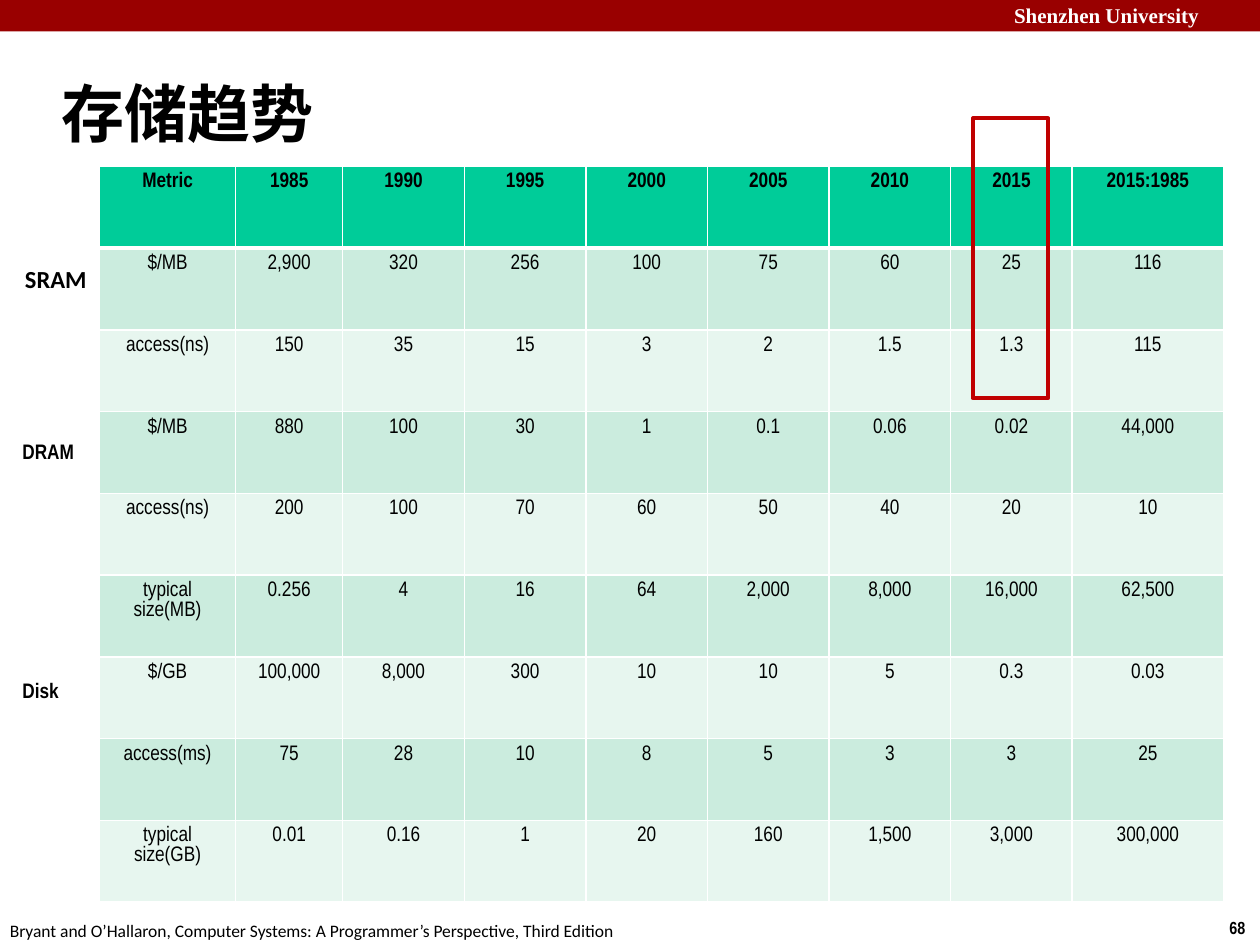
import pptx
import pptx.dml.color
import pptx.enum.shapes
import pptx.enum.text
import pptx.oxml
import pptx.oxml.ns
import pptx.util
from pptx.util import Inches

ANCHOR = pptx.enum.text.MSO_ANCHOR
NARROW = "Arial Narrow"

TABLE_ROWS = [
    ["Metric", "1985", "1990", "1995", "2000", "2005", "2010", "2015", "2015:1985"],
    ["$/MB", "2,900", "320", "256", "100", "75", "60", "25", "116"],
    ["access(ns)", "150", "35", "15", "3", "2", "1.5", "1.3", "115"],
    ["$/MB", "880", "100", "30", "1", "0.1", "0.06", "0.02", "44,000"],
    ["access(ns)", "200", "100", "70", "60", "50", "40", "20", "10"],
    ["typical size(MB)", "0.256", "4", "16", "64", "2,000", "8,000", "16,000", "62,500"],
    ["$/GB", "100,000", "8,000", "300", "10", "10", "5", "0.3", "0.03"],
    ["access(ms)", "75", "28", "10", "8", "5", "3", "3", "25"],
    ["typical size(GB)", "0.01", "0.16", "1", "20", "160", "1,500", "3,000", "300,000"],
]
TABLE_BOX = (0.79, 1.32, 8.92, 5.84)
METRIC_W, FIRST_YEAR_W, RATIO_W = 1.08, 0.85, 1.2
HEADER_FILL, BAND_FILLS = "00CC99", ("E7F6EF", "CBECDE")


def rgb(color):
    return pptx.dml.color.RGBColor.from_string(color)


def write(tf, text, size, name=NARROW, bold=True, color="000000"):
    p = tf.paragraphs[0]
    r = p.add_run()
    r.text = text
    style = {"size": pptx.util.Pt(size), "name": name, "bold": bold}
    for key, value in style.items():
        setattr(r.font, key, value)
    r.font.color.rgb = rgb(color)
    return p


def add_text(s, box, text, size, wrap=True, anchor=ANCHOR.TOP, **style):
    tf = s.shapes.add_textbox(*map(Inches, box)).text_frame
    tf.word_wrap = wrap
    tf.vertical_anchor = anchor
    return write(tf, text, size, **style)


def add_rect(s, box, fill=None, line=None, width=0):
    sp = s.shapes.add_shape(pptx.enum.shapes.MSO_SHAPE.RECTANGLE, *map(Inches, box))
    sp.shadow.inherit = False
    if fill:
        sp.fill.solid()
        sp.fill.fore_color.rgb = rgb(fill)
    else:
        sp.fill.background()
    if line:
        sp.line.color.rgb = rgb(line)
        sp.line.width = pptx.util.Pt(width)
    else:
        sp.line.fill.background()


def set_borders(cell, color, widths):
    """Draw the cell's sides; widths maps L, R, T, B to points."""
    tcPr = cell._tc.get_or_add_tcPr()
    for i, (side, width) in enumerate(widths.items()):
        ln = pptx.oxml.parse_xml(
            f'<a:ln{side} {pptx.oxml.ns.nsdecls("a")} w="{pptx.util.Pt(width)}">'
            f'<a:solidFill><a:srgbClr val="{color}"/></a:solidFill></a:ln{side}>')
        tcPr.insert(i, ln)


def add_trend_table(s):
    n_rows, n_cols = len(TABLE_ROWS), len(TABLE_ROWS[0])
    width, height = TABLE_BOX[2:]
    table = s.shapes.add_table(n_rows, n_cols, *map(Inches, TABLE_BOX)).table
    year_w = (width - METRIC_W - FIRST_YEAR_W - RATIO_W) / (n_cols - 3)
    col_widths = [METRIC_W, FIRST_YEAR_W] + [year_w] * (n_cols - 3) + [RATIO_W]
    for col, col_w in zip(table.columns, col_widths):
        col.width = Inches(col_w)
    for i, values in enumerate(TABLE_ROWS):
        table.rows[i].height = Inches(height / n_rows)
        for j, text in enumerate(values):
            cell = table.cell(i, j)
            cell.fill.solid()
            cell.fill.fore_color.rgb = rgb(BAND_FILLS[i % 2] if i else HEADER_FILL)
            set_borders(cell, "FFFFFF", {"L": 1, "R": 1, "T": 3 if i == 1 else 1,
                                         "B": 3 if i == 0 else 1})
            p = write(cell.text_frame, text, 12, bold=i == 0)
            p.alignment = pptx.enum.text.PP_ALIGN.CENTER


def main():
    prs = pptx.Presentation()
    prs.slide_width, prs.slide_height = Inches(10), Inches(7.5)
    s = prs.slides.add_slide(prs.slide_layouts[6])

    add_rect(s, (0, 0, 10, 0.25), fill="990000")
    add_text(s, (7.95, -0.03, 2.12, 0.3), "Shenzhen University", 12,
             name="Times New Roman", color="FFFFFF")
    add_text(s, (9.66, 7.23, 0.34, 0.27), "68", 10, wrap=False)
    add_text(s, (-0.02, 7.25, 5.09, 0.27),
             "Bryant and O’Hallaron, Computer Systems: A Programmer’s Perspective, Third Edition",
             10, wrap=False, name="Calibri", bold=False)
    title = add_text(s, (0.39, 0.48, 8.3, 0.83), "存储趋势", 36,
                     anchor=ANCHOR.MIDDLE, name="Calibri")
    pPr = title._p.get_or_add_pPr()
    pPr.set("marL", str(Inches(0.13)))
    pPr.set("indent", str(Inches(-0.13)))

    add_trend_table(s)
    add_text(s, (0.1, 2.05, 0.74, 0.34), "SRAM", 14, name="Calibri")
    add_text(s, (0.08, 3.43, 0.76, 0.3), "DRAM", 12)
    add_text(s, (0.08, 5.33, 0.55, 0.3), "Disk", 12, wrap=False)
    add_rect(s, (7.72, 0.94, 0.6, 2.22), line="C00000", width=2.25)

    prs.save("out.pptx")


if __name__ == "__main__":
    main()
